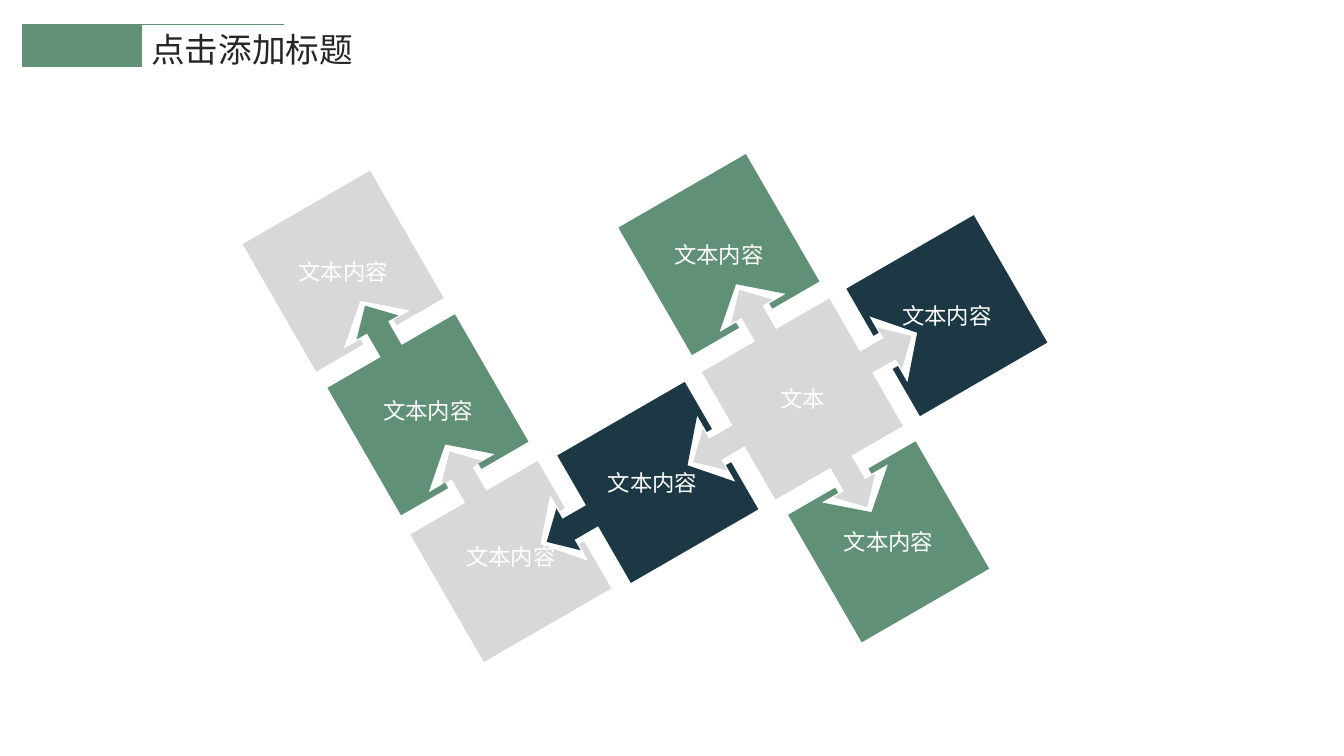
from math import cos, sin, radians

from lxml import etree
from pptx import Presentation
from pptx import util as u
from pptx.dml.color import RGBColor
from pptx.enum import shapes, text
from pptx.oxml.ns import qn

GREEN = RGBColor(0x60, 0x91, 0x77)
NAVY = RGBColor(0x1C, 0x38, 0x44)
GREY = RGBColor(0x80, 0x80, 0x80)
INK = RGBColor(0x26, 0x26, 0x26)
WHITE = RGBColor(0xFF, 0xFF, 0xFF)
FONT = "Noto Sans CJK SC"

# Tile geometry in inches: half a side, pitch of the grid, tilt in degrees
HALF, PITCH, TILT = 0.73, 1.655, -30
TOP, RIGHT, LOW, LEFT = range(4)

# Right half of a side's outline, from the tip outwards: (along, outward)
ARROW = [(0, 1.25), (0.24, 1), (0.12, 1), (0.12, HALF)]
NOTCH = [(0, 0.34), (0.38, 0.67), (0.19, 0.67), (0.19, HALF)]

# Column and row from the hub, fill, label, {side: (outline, shift)}
LABEL = "文本内容"
TILES = [
    (-2, -2.04, GREY, LABEL, {LOW: (NOTCH, 0)}),
    (-1.99, -1.04, GREEN, LABEL, {TOP: (ARROW, 0), LOW: (NOTCH, 0)}),
    (-2, -0.03, GREY, LABEL, {TOP: (ARROW, 0.02), RIGHT: (NOTCH, 0)}),
    (-1, 0, NAVY, LABEL, {RIGHT: (NOTCH, 0), LEFT: (ARROW, 0.04)}),
    (0.02, 1, GREEN, LABEL, {TOP: (NOTCH, 0)}),
    (1, 0, NAVY, LABEL, {LEFT: (NOTCH, 0)}),
    (0, -1, GREEN, LABEL, {LOW: (NOTCH, 0)}),
    (0, 0, GREY, "文本", {TOP: (ARROW, 0), RIGHT: (ARROW, 0),
                        LOW: (ARROW, -0.02), LEFT: (ARROW, 0)}),
]


def turn(x, y, deg):
    """Turn a point clockwise about the origin."""
    a = radians(deg)
    return x * cos(a) - y * sin(a), x * sin(a) + y * cos(a)


def write(frame, words, size, color, align):
    """Put one formatted run into the first paragraph."""
    para = frame.paragraphs[0]
    para.alignment = align
    run = para.add_run()
    run.text = words
    run.font.size = u.Pt(size)
    run.font.color.rgb = color
    run.font.name = FONT
    east = etree.SubElement(run.font._element, qn("a:ea"))
    east.set("typeface", FONT)


def paint(shape, color):
    """Fill a shape; grey ones are mostly see-through."""
    shape.shadow.inherit = False
    shape.fill.solid()
    shape.fill.fore_color.rgb = color
    if color == GREY:
        tint = shape.fill._xPr.find(".//" + qn("a:srgbClr"))
        etree.SubElement(tint, qn("a:alpha")).set("val", "30000")


def outline(sides):
    """List the points of a tile clockwise around its centre."""
    points = []
    for side in range(4):
        edge = [(-HALF, HALF)]
        if side in sides:
            half, shift = sides[side]
            left = [(-t, d) for t, d in half[:0:-1]]
            edge += [(t + shift, d) for t, d in left + half]
        points += [turn(t, -d, 90 * side + TILT) for t, d in edge]
    return points


def board(slide, left, top, width, height):
    """Tilted tiles joined by arrows, placed around the hub."""
    hub_x, hub_y = left + 0.7 * width, top + 0.48 * height
    for col, row, color, words, sides in TILES:
        dx, dy = turn(col * PITCH, row * PITCH, TILT)
        points = [(u.Inches(hub_x + dx + x), u.Inches(hub_y + dy + y))
                  for x, y in outline(sides)]
        pen = slide.shapes.build_freeform(*points[0])
        pen.add_line_segments(points[1:], close=True)
        tile = pen.convert_to_shape()
        paint(tile, color)
        tile.line.fill.background()
        frame = tile.text_frame
        frame.word_wrap = True
        frame.vertical_anchor = text.MSO_ANCHOR.MIDDLE
        write(frame, words, 16, WHITE, text.PP_ALIGN.CENTER)


def header(slide, left, top, width, height):
    """Title with a thin rule and a green block on its left."""
    x, y, w, h = (u.Inches(n) for n in (left, top, width, height))

    title = slide.shapes.title
    title.left, title.top = x + int(w * 0.33), y
    title.width, title.height = int(w * 0.67), h
    frame = title.text_frame
    frame.word_wrap = True
    frame.auto_size = text.MSO_AUTO_SIZE.SHAPE_TO_FIT_TEXT
    frame.vertical_anchor = text.MSO_ANCHOR.TOP
    write(frame, "点击添加标题", 24, INK, text.PP_ALIGN.LEFT)
    frame.paragraphs[0].line_spacing = 1.0

    rule = slide.shapes.add_connector(
        shapes.MSO_CONNECTOR.STRAIGHT, x, y, x + int(w * 0.73), y)
    rule.line.color.rgb = GREEN
    rule.line.width = u.Pt(0.5)
    etree.SubElement(rule._element.spPr, qn("a:effectLst"))

    block = slide.shapes.add_shape(
        shapes.MSO_SHAPE.RECTANGLE, x, y, int(w * 0.33), int(h * 0.84))
    paint(block, GREEN)
    block.line.color.rgb = GREEN
    block.line.width = u.Pt(1)


def main():
    deck = Presentation()
    deck.slide_width, deck.slide_height = u.Inches(13.33), u.Inches(7.5)
    slide = deck.slides.add_slide(deck.slide_layouts[5])
    board(slide, 2.4, 1.53, 7.94, 5.06)
    header(slide, 0.23, 0.24, 3.55, 0.5)
    deck.save("out.pptx")


if __name__ == "__main__":
    main()
